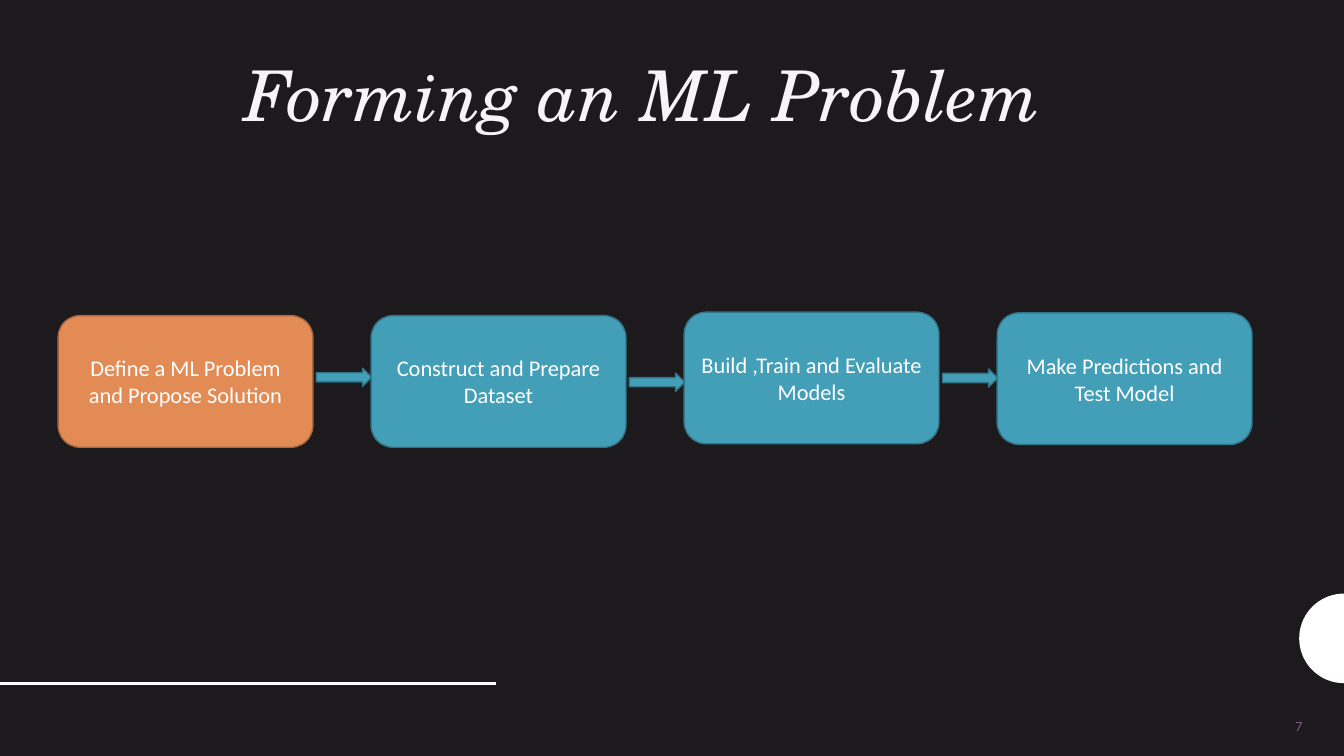
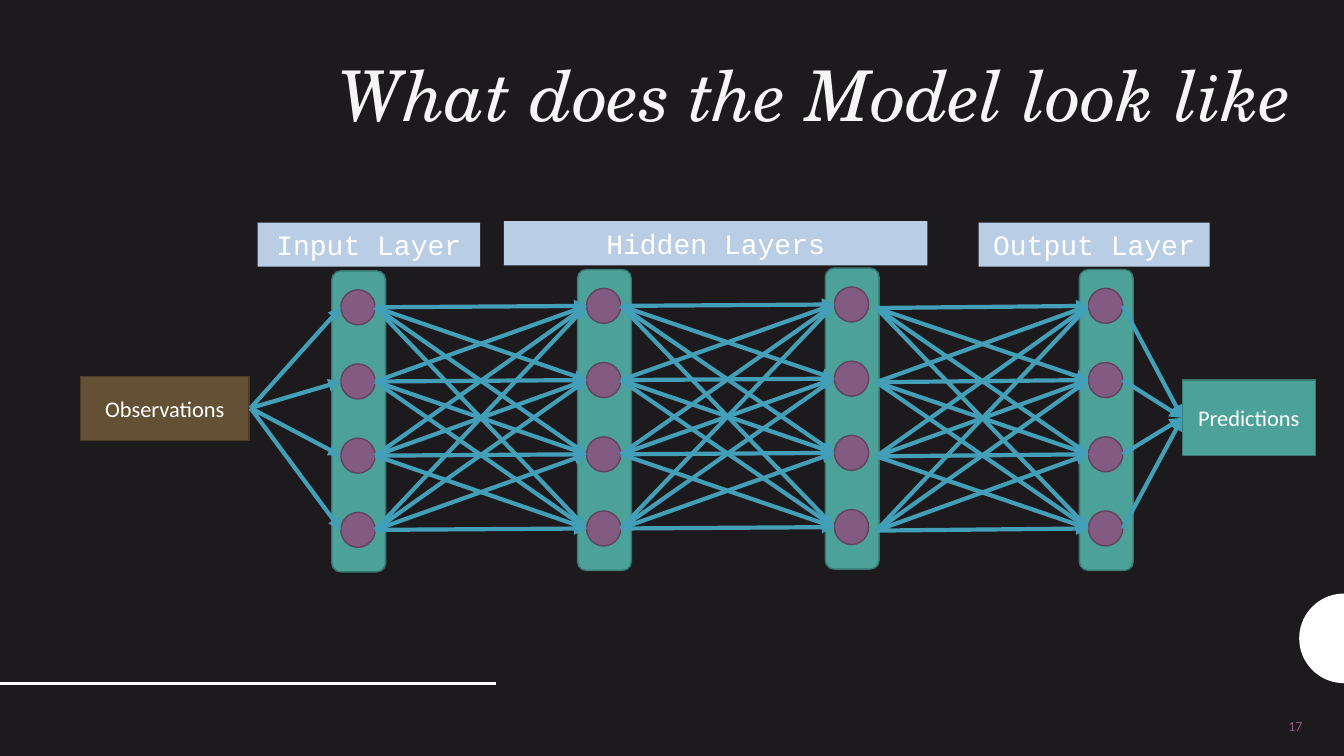
"""Builds two slides on forming a machine learning problem and its model."""
import math

from lxml import etree
from pptx import Presentation
from pptx.dml.color import RGBColor
from pptx.enum import shapes, text
from pptx.oxml.ns import qn
from pptx.util import Pt

SLIDE_WIDTH, SLIDE_HEIGHT = 960, 540
BODY_FONT, TITLE_FONT, LABEL_FONT = "Calibri", "TeX Gyre Schola", "Courier New"
DARK, WHITE, TITLE_WHITE = "1D1A1D", "FFFFFF", "F5F5F5"
BLUE, BLUE_EDGE = "439EB7", "327587"
ORANGE, ORANGE_EDGE = "E28B55", "A7673F"
GREEN, GREEN_EDGE = "4CA198", "387770"
PURPLE, PURPLE_EDGE = "835B82", "614360"
BROWN, BROWN_EDGE = "645135", "4A3C27"
LABEL_BLUE = "B9CDE5"

STEPS = [
    ("Define a ML Problem and Propose Solution", 225.5, ORANGE, ORANGE_EDGE),
    ("Construct and Prepare Dataset", 225.5, BLUE, BLUE_EDGE),
    ("Build ,Train and Evaluate Models", 223, BLUE, BLUE_EDGE),
    ("Make Predictions and Test Model", 223.5, BLUE, BLUE_EDGE),
]
STEP_PITCH = 223.6
ARROW_TOPS = [263, 266.5, 263.5]

LABELS = [
    ("Input Layer", 184, 159, 159),
    ("Hidden Layers", 360, 158, 302.5),
    ("Output Layer", 699, 159, 165),
]
LAYERS = [
    (237, 193.5, 31, 0),
    (412.5, 192.5, 31, 0),
    (589.5, 191.5, 36.5, 2.5),
    (771, 192.5, 31, 0),
]
NODE_COUNT, NODE_PITCH = 4, 53
NODE_WIDTH, NODE_HEIGHT = 24.5, 25
NODE_INSET, NODE_DROP = 6.5, 13.5


def colour(hex_code):
    """Turn a hex string into a colour."""
    return RGBColor.from_string(hex_code)


def write(frame, content, size=16, font=BODY_FONT, fill=WHITE, italic=False,
          align="CENTER", anchor="MIDDLE", spacing=None):
    """Put formatted text into a text frame."""
    frame.word_wrap = True
    frame.auto_size = text.MSO_AUTO_SIZE.NONE
    frame.vertical_anchor = text.MSO_ANCHOR[anchor]
    paragraph = frame.paragraphs[0]
    paragraph.alignment = text.PP_ALIGN[align]
    paragraph.line_spacing = spacing
    run = paragraph.add_run()
    run.text = content
    run.font.size = Pt(size)
    run.font.name = font
    run.font.italic = italic
    run.font.color.rgb = colour(fill)


def paint(shape, fill, edge=None):
    """Give a shape a flat fill and an optional outline."""
    shape.shadow.inherit = False
    shape.fill.solid()
    shape.fill.fore_color.rgb = colour(fill)
    if edge:
        shape.line.color.rgb = colour(edge)
        shape.line.width = Pt(1)
    else:
        shape.line.fill.background()


def add_block(slide, preset, box, fill, edge=None, content=None, **text_format):
    """Add a filled preset shape, with text when given."""
    block = slide.shapes.add_shape(shapes.MSO_SHAPE[preset], *map(Pt, box))
    paint(block, fill, edge)
    if content:
        write(block.text_frame, content, **text_format)


def add_line(slide, start, end, stroke, width, arrow=False):
    """Add a straight line, with an arrowhead at its end if asked."""
    line = slide.shapes.add_connector(
        shapes.MSO_CONNECTOR.STRAIGHT, *map(Pt, (*start, *end)))
    line.line.color.rgb = colour(stroke)
    line.line.width = Pt(width)
    properties = line.element.spPr
    if arrow:
        head = etree.SubElement(properties.find(qn("a:ln")), qn("a:tailEnd"))
        head.set("type", "triangle")
    etree.SubElement(properties, qn("a:effectLst"))


def add_half_disc(slide, radius=32, centre_y=456):
    """Add the half disc on the right edge of the slide."""
    turns = [math.radians(angle) for angle in range(90, 271, 5)]
    rim = [(Pt(SLIDE_WIDTH + radius * math.cos(turn)),
            Pt(centre_y - radius * math.sin(turn))) for turn in turns]
    outline = slide.shapes.build_freeform(*rim[0])
    outline.add_line_segments(rim[1:], close=True)
    paint(outline.convert_to_shape(), WHITE)


def add_slide(deck, heading, title_width, number):
    """Add a slide with its title, edge decoration and page number."""
    slide = deck.slides.add_slide(deck.slide_layouts[5])
    add_half_disc(slide)
    add_line(slide, (0, 488), (354, 488), WHITE, 2)
    page = slide.shapes.add_textbox(*map(Pt, (713.5, 504, 224, 29)))
    write(page.text_frame, number, size=10, fill=PURPLE, align="RIGHT")
    title = slide.shapes.title
    title.left, title.top, title.width, title.height = map(
        Pt, (32.5, 10, title_width, 91))
    write(title.text_frame, heading, size=50, font=TITLE_FONT, fill=TITLE_WHITE,
          italic=True, align="RIGHT", anchor="BOTTOM", spacing=0.9)
    return slide


def add_process(slide):
    """Draw the steps of the process and the arrows between them."""
    for index, (step, top, fill, edge) in enumerate(STEPS):
        box = (41.5 + index * STEP_PITCH, top, 182, 94)
        add_block(slide, "ROUNDED_RECTANGLE", box, fill, edge, step)
    for index, top in enumerate(ARROW_TOPS):
        box = (226 + index * STEP_PITCH, top, 39.5, 13)
        add_block(slide, "RIGHT_ARROW", box, BLUE, BLUE_EDGE)


def link(slide, starts, ends):
    """Join every start to every end with an arrow."""
    for start in starts:
        for end in ends:
            add_line(slide, start, end, BLUE, 3, arrow=True)


def add_layer(slide, left, top):
    """Draw one layer of nodes and return the heights of their centres."""
    add_block(slide, "ROUNDED_RECTANGLE", (left, top, 38.5, 215), GREEN, GREEN_EDGE)
    node_tops = [top + NODE_DROP + row * NODE_PITCH for row in range(NODE_COUNT)]
    for node_top in node_tops:
        box = (left + NODE_INSET, node_top, NODE_WIDTH, NODE_HEIGHT)
        add_block(slide, "FLOWCHART_CONNECTOR", box, PURPLE, PURPLE_EDGE)
    return [node_top + NODE_HEIGHT / 2 for node_top in node_tops]


def add_network(slide):
    """Draw the network from observations to predictions."""
    add_block(slide, "RECTANGLE", (57.5, 269, 120.5, 45.5), BROWN, BROWN_EDGE,
              "Observations")
    for label, left, top, width in LABELS:
        add_block(slide, "RECTANGLE", (left, top, width, 31.5), LABEL_BLUE,
                  content=label, size=20, font=LABEL_FONT)
    exits = [(179, 291.5)]
    for left, top, exit_shift, exit_drop in LAYERS:
        centres = add_layer(slide, left, top)
        link(slide, exits, [(left + NODE_INSET, y) for y in centres])
        exits = [(left + exit_shift, y + exit_drop) for y in centres]
    add_block(slide, "RECTANGLE", (844.5, 271.5, 95, 54), GREEN, GREEN_EDGE,
              "Predictions")
    link(slide, exits, [(844.5, 298.5)])


def main():
    """Build and save the deck."""
    deck = Presentation()
    deck.slide_width, deck.slide_height = Pt(SLIDE_WIDTH), Pt(SLIDE_HEIGHT)
    backdrop = deck.slide_master.background.fill
    backdrop.solid()
    backdrop.fore_color.rgb = colour(DARK)
    add_process(add_slide(deck, "Forming an ML Problem", 718.5, "7"))
    add_network(add_slide(deck, "What does the Model look like", 898, "17"))
    deck.save("out.pptx")


if __name__ == "__main__":
    main()
